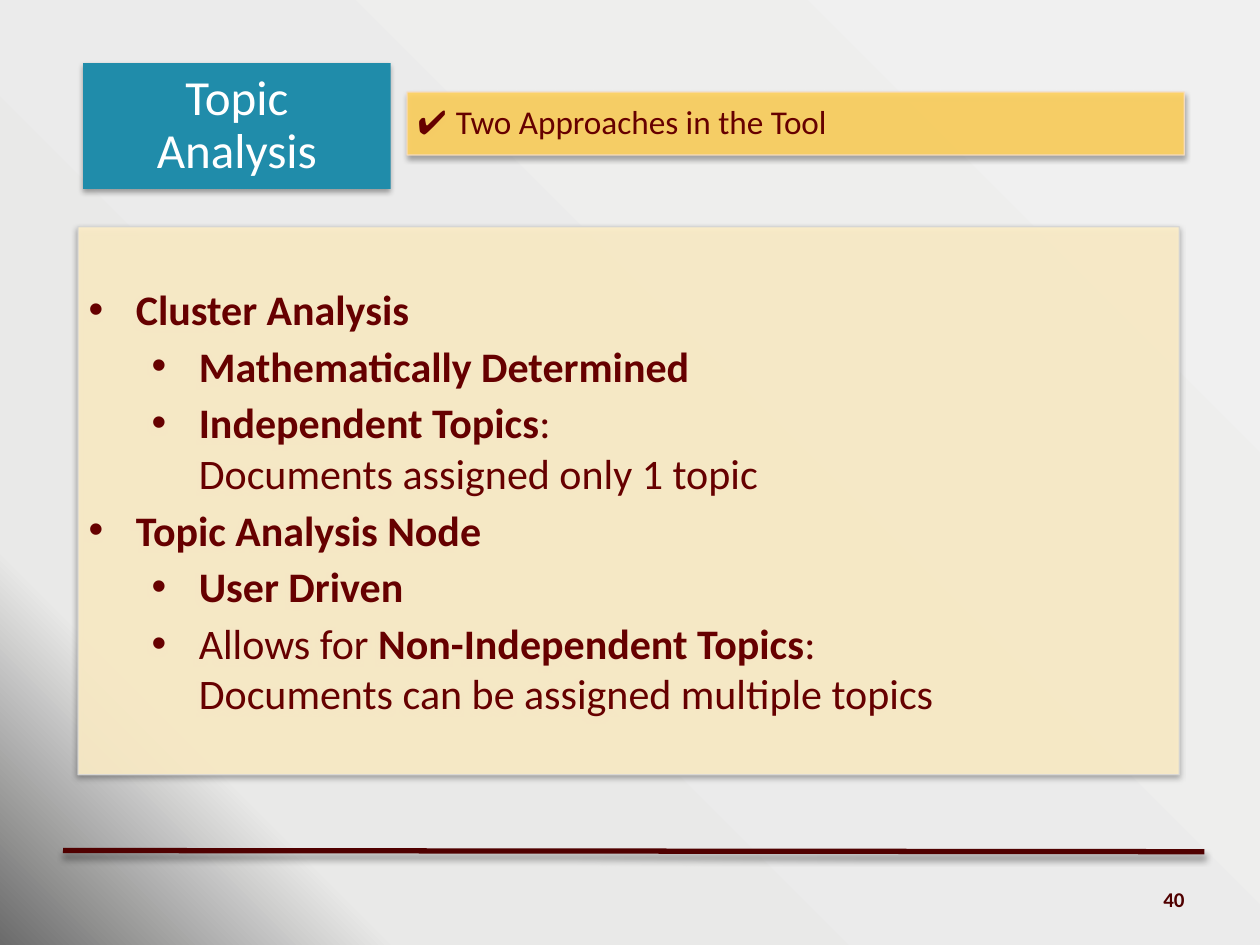
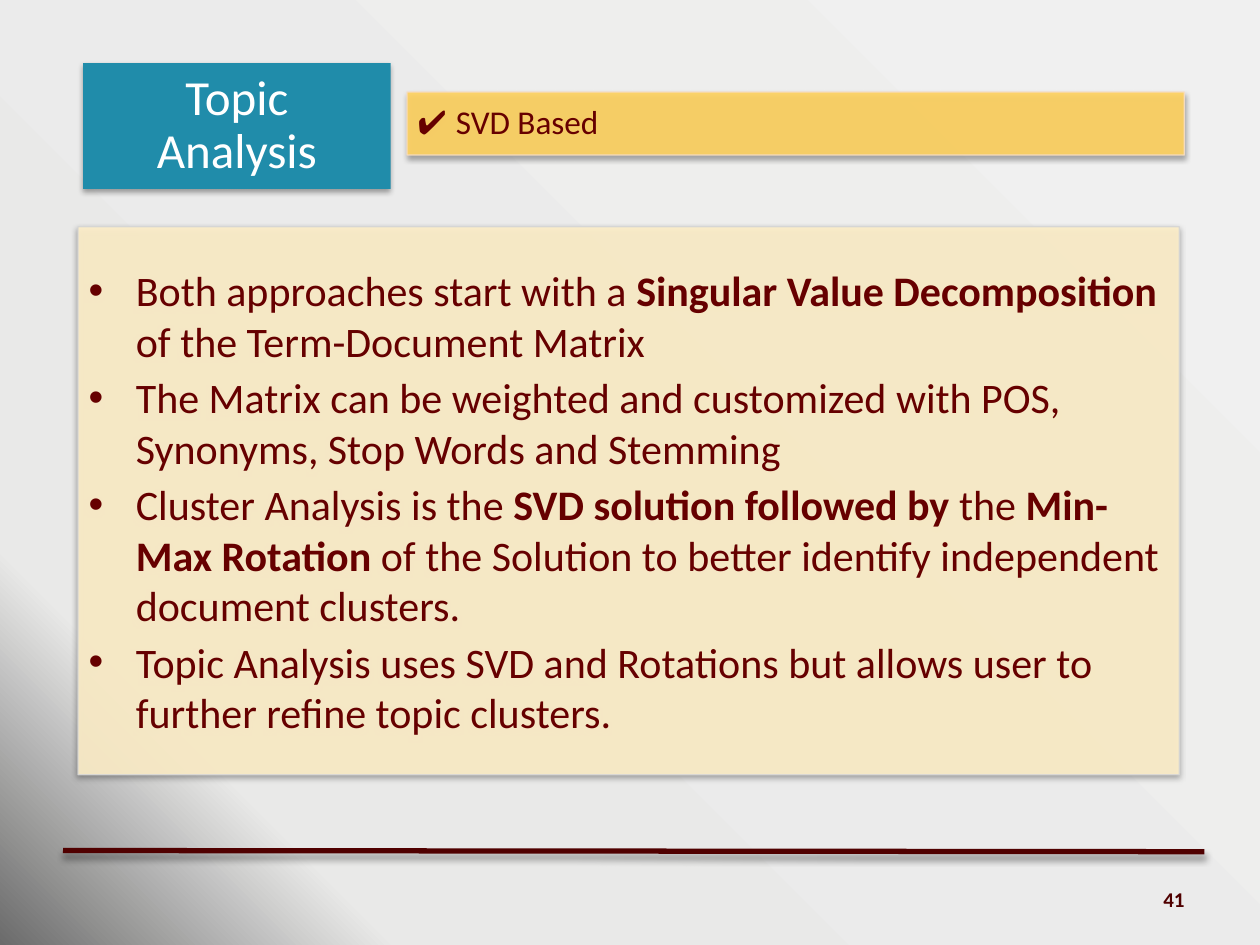
import math

from pptx import Presentation
from pptx.dml.color import RGBColor
from pptx.enum.shapes import MSO_CONNECTOR
from pptx.enum.text import MSO_ANCHOR, MSO_AUTO_SIZE, PP_ALIGN
from pptx.oxml import parse_xml
from pptx.oxml.ns import nsdecls, qn
from pptx.util import Pt

STRAIGHT = MSO_CONNECTOR.STRAIGHT
MIDDLE = MSO_ANCHOR.MIDDLE
NO_AUTOFIT = MSO_AUTO_SIZE.NONE
LEFT, CENTER, RIGHT = PP_ALIGN.LEFT, PP_ALIGN.CENTER, PP_ALIGN.RIGHT
TWO_CONTENT_LAYOUT = 3
FIRST_NUMBER = 40

COLORS = {
    "title": "208CAA",
    "title_text": "FFFFFF",
    "subtitle": "FFD25F",
    "subtitle_edge": "F7DEC6",
    "body": "FFF0CA",
    "body_edge": "D6D6D5",
    "text": "660000",
    "footer": "500000",
    "shadow": "000000",
}
BACKGROUND_STOPS = [(0, "F0F0F0"), (82, "E9E9E8"), (100, "6B6B6B")]

TITLE_BOX = (47.5, 36, 175.7, 72)
SUBTITLE_BOX = (232.6, 52.6, 444.2, 36)
BODY_BOX = (44.6, 129.6, 629.3, 313.2)
NUMBER_BOX = (516.2, 499.7, 167.8, 28.8)
PANEL_INSETS = (6, 7.2, 10, 7.2)

SLIDES = [
    ("Two Approaches in the Tool", [
        (0, [("Cluster Analysis", True)]),
        (1, [("Mathematically Determined", True)]),
        (1, [("Independent Topics", True),
             (": \nDocuments assigned only 1 topic", False)]),
        (0, [("Topic Analysis Node", True)]),
        (1, [("User Driven", True)]),
        (1, [("Allows for ", False), ("Non-Independent Topics", True),
             (": \nDocuments can be assigned multiple topics", False)]),
    ]),
    ("SVD Based", [
        (0, [("Both approaches start with a ", False),
             ("Singular Value Decomposition ", True),
             ("of the Term-Document Matrix", False)]),
        (0, [("The Matrix can be weighted and customized with POS, "
              "Synonyms, Stop Words and Stemming", False)]),
        (0, [("Cluster Analysis is the ", False),
             ("SVD solution followed by ", True), ("the ", False),
             ("Min-Max Rotation", True),
             (" of the Solution to better identify independent "
              "document clusters.", False)]),
        (0, [("Topic Analysis uses SVD and Rotations but allows user to "
              "further refine topic clusters.", False)]),
    ]),
]


def add_text(paragraph, text, size=24, color="text", bold=False, font="Calibri"):
    for index, line in enumerate(text.split("\n")):
        if index:
            paragraph.add_line_break()
        run = paragraph.add_run()
        run.text = line
        run.font.size = Pt(size)
        run.font.name = font
        run.font.bold = bold
        run.font.color.rgb = RGBColor.from_string(COLORS[color])


def format_paragraph(paragraph, align=LEFT, line_spacing=1.0, after=0,
                     margin=0, bullet=None):
    paragraph.alignment = align
    paragraph.line_spacing = line_spacing
    paragraph.space_before = Pt(0)
    paragraph.space_after = Pt(after)
    properties = paragraph._p.get_or_add_pPr()
    properties.set("marL", str(Pt(margin)))
    properties.set("indent", str(Pt(-27) if bullet else 0))
    tag = f'buChar char="{bullet}"' if bullet else "buNone"
    properties.append(parse_xml(f'<a:{tag} {nsdecls("a")}/>'))


def format_frame(shape, insets):
    frame = shape.text_frame
    frame.word_wrap = True
    frame.auto_size = NO_AUTOFIT
    frame.vertical_anchor = MIDDLE
    (frame.margin_left, frame.margin_top,
     frame.margin_right, frame.margin_bottom) = map(Pt, insets)
    return frame


def add_shadow(shape, opacity, blur, distance):
    properties = shape.element.spPr
    for effects in properties.findall(qn("a:effectLst")):
        properties.remove(effects)
    properties.append(parse_xml(
        f'<a:effectLst {nsdecls("a")}><a:outerShdw blurRad="{Pt(blur)}" '
        f'dist="{Pt(distance)}" dir="5400000" rotWithShape="0">'
        f'<a:srgbClr val="{COLORS["shadow"]}"><a:alpha val="{opacity * 1000}"/>'
        '</a:srgbClr></a:outerShdw></a:effectLst>'))


def set_transparent_color(color_parent, color):
    color_parent.solid()
    color_parent.fore_color.rgb = RGBColor.from_string(COLORS[color])


def add_alpha(shape, percent):
    for color in shape.element.spPr.iter(qn("a:srgbClr")):
        color.append(parse_xml(f'<a:alpha {nsdecls("a")} val="{percent * 1000}"/>'))


def place(shape, box):
    shape.left, shape.top, shape.width, shape.height = map(Pt, box)


def rounded_right_geometry(slide, box, radius_x, radius_y, steps=16):
    left, top, width, height = box
    right, bottom = left + width, top + height
    points = [(left, top)]
    for center_y, start in ((top + radius_y, -90), (bottom - radius_y, 0)):
        for step in range(steps + 1):
            angle = math.radians(start + 90 * step / steps)
            points.append((right - radius_x + radius_x * math.cos(angle),
                           center_y + radius_y * math.sin(angle)))
    points.append((left, bottom))
    points = [(Pt(x), Pt(y)) for x, y in points]
    builder = slide.shapes.build_freeform(*points[0], scale=1.0)
    builder.add_line_segments(points[1:], close=True)
    outline = builder.convert_to_shape().element
    outline.getparent().remove(outline)
    return outline.spPr.find(qn("a:custGeom"))


def format_panel(slide, shape, box, radii, name):
    place(shape, box)
    shape.element.spPr.append(rounded_right_geometry(slide, box, *radii))
    set_transparent_color(shape.fill, name)
    set_transparent_color(shape.line.fill, f"{name}_edge")
    shape.line.width = Pt(0.75)
    add_alpha(shape, 90)
    add_shadow(shape, 35, 3.1, 1.8)
    return format_frame(shape, PANEL_INSETS)


def add_title(slide, text):
    title = slide.shapes.title
    place(title, TITLE_BOX)
    title.element.spPr.append(parse_xml(
        f'<a:prstGeom {nsdecls("a")} prst="roundRect"><a:avLst/></a:prstGeom>'))
    set_transparent_color(title.fill, "title")
    title.line.fill.background()
    add_shadow(title, 35, 3.1, 1.8)
    paragraph = format_frame(title, (15, 10, 15, 10)).paragraphs[0]
    format_paragraph(paragraph, align=CENTER, line_spacing=0.9)
    add_text(paragraph, text, size=28, color="title_text")


def add_subtitle(slide, text):
    frame = format_panel(slide, slide.placeholders[1], SUBTITLE_BOX,
                         (14.4, 6), "subtitle")
    paragraph = frame.paragraphs[0]
    format_paragraph(paragraph, line_spacing=0.9)
    add_text(paragraph, "✔ ", size=19, font="Arial")
    add_text(paragraph, text, size=19)


def add_body(slide, items):
    frame = format_panel(slide, slide.placeholders[2], BODY_BOX, (20, 52), "body")
    for index, (level, runs) in enumerate(items):
        paragraph = frame.add_paragraph() if index else frame.paragraphs[0]
        paragraph.level = level
        format_paragraph(paragraph, after=3.6, margin=27 + 36 * level, bullet="•")
        for text, bold in runs:
            add_text(paragraph, text, bold=bold)


def add_footer(slide, number):
    rule = slide.shapes.add_connector(STRAIGHT, Pt(36), Pt(486), Pt(688.3), Pt(486.7))
    rule.line.color.rgb = RGBColor.from_string(COLORS["footer"])
    rule.line.width = Pt(3)
    add_shadow(rule, 40, 4, 3)
    number_box = slide.shapes.add_textbox(*map(Pt, NUMBER_BOX))
    paragraph = format_frame(number_box, (7.2, 3.6, 7.2, 3.6)).paragraphs[0]
    format_paragraph(paragraph, align=RIGHT)
    add_text(paragraph, str(number), size=12, color="footer", bold=True)


def set_background(master):
    master.background.fill.solid()
    stops = "".join(
        f'<a:gs pos="{position * 1000}"><a:srgbClr val="{color}"/></a:gs>'
        for position, color in BACKGROUND_STOPS)
    properties = master.element.find(".//" + qn("p:bgPr"))
    properties[0] = parse_xml(
        f'<a:gradFill {nsdecls("a")} rotWithShape="1"><a:gsLst>{stops}</a:gsLst>'
        '<a:path path="circle"><a:fillToRect l="100000" b="100000"/></a:path>'
        '</a:gradFill>')


def main():
    presentation = Presentation()
    presentation.slide_width, presentation.slide_height = Pt(720), Pt(540)
    set_background(presentation.slide_master)
    layout = presentation.slide_layouts[TWO_CONTENT_LAYOUT]
    for number, (subtitle, items) in enumerate(SLIDES, FIRST_NUMBER):
        slide = presentation.slides.add_slide(layout)
        add_title(slide, "Topic Analysis")
        add_subtitle(slide, subtitle)
        add_body(slide, items)
        add_footer(slide, number)
    presentation.save("out.pptx")


if __name__ == "__main__":
    main()
